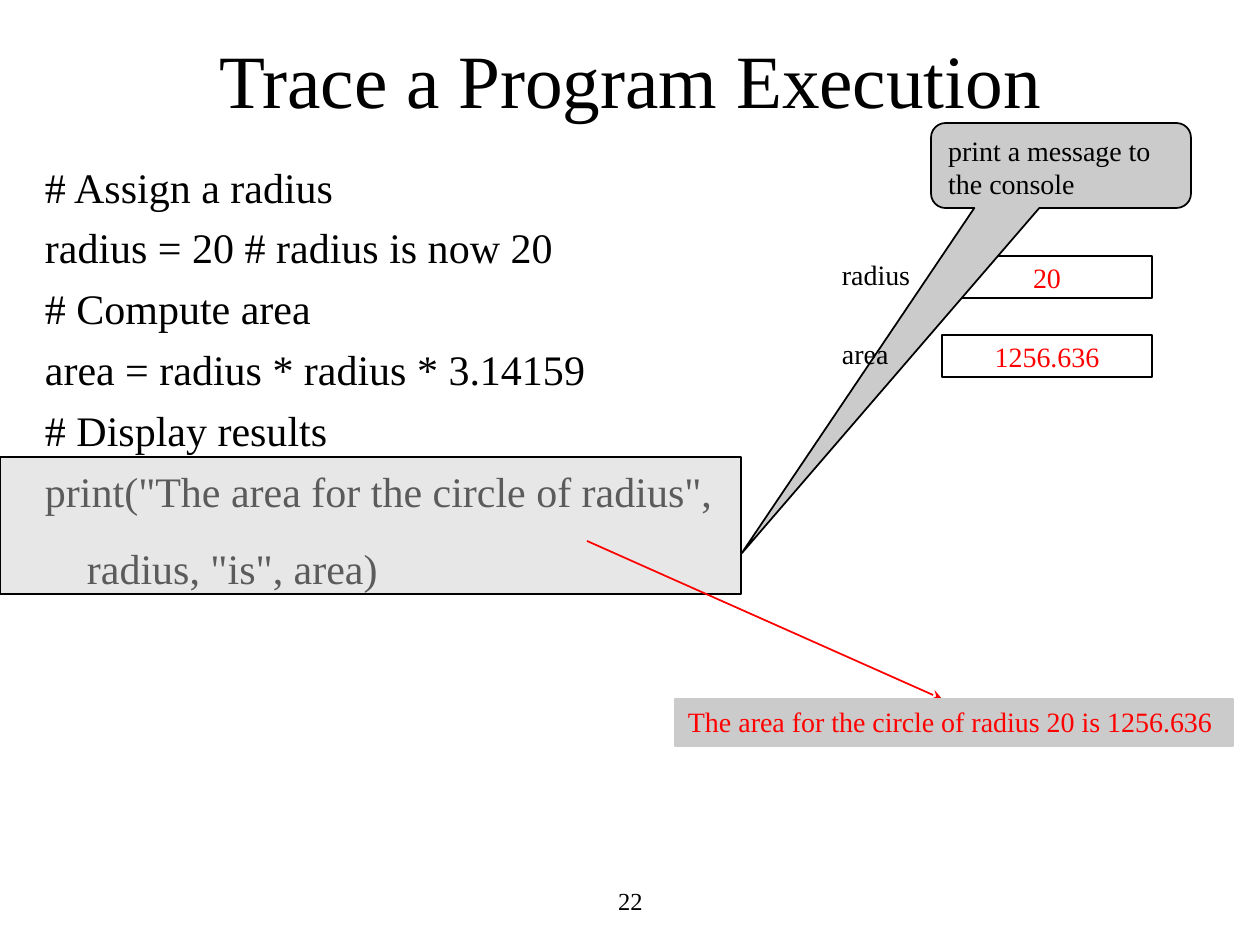
from dataclasses import dataclass
from typing import Optional

from lxml import etree
from pptx import Presentation
from pptx.dml import color
from pptx.enum import shapes, text
from pptx.oxml import ns
from pptx.util import Emu, Pt

SCALE = 914400 / 126
FONT = "Times New Roman"
BLACK, RED, GRAY = "000000", "FF0000", "CBCBCB"
LEFT, CENTER = text.PP_ALIGN.LEFT, text.PP_ALIGN.CENTER
TOP, MIDDLE = text.MSO_ANCHOR.TOP, text.MSO_ANCHOR.MIDDLE


@dataclass
class Box:
    left: int
    top: int
    width: int
    height: int


@dataclass
class Style:
    size: int = 16
    ink: str = BLACK
    align: text.PP_ALIGN = LEFT
    anchor: text.MSO_ANCHOR = TOP
    wrap: bool = True
    inset_x: int = 13
    inset_y: int = 6


@dataclass
class CodeLine:
    words: str
    margin: int = 48
    hanging: int = -48
    before: float = 6


@dataclass
class Variable:
    name: str
    value: str
    top: int


CODE = [
    CodeLine("# Assign a radius", before=3),
    CodeLine("radius = 20 # radius is now 20"),
    CodeLine("# Compute area"),
    CodeLine("area = radius * radius * 3.14159"),
    CodeLine("# Display results"),
    CodeLine('print("The area for the circle of radius",'),
    CodeLine('radius, "is", area)', 42, 0, 15.3),
]
VARIABLES = [Variable("radius", "20", 256), Variable("area", "1256.636", 335)]


def px(length: int) -> Emu:
    return Emu(round(length * SCALE))


def rgb(value: str) -> color.RGBColor:
    return color.RGBColor.from_string(value)


def place(box: Box) -> tuple[Emu, Emu, Emu, Emu]:
    return px(box.left), px(box.top), px(box.width), px(box.height)


def add_words(paragraph, words: str, style: Style) -> None:
    paragraph.alignment = style.align
    run = paragraph.add_run()
    run.text = words
    run.font.name = FONT
    run.font.size = Pt(style.size)
    run.font.color.rgb = rgb(style.ink)


def set_frame(frame, style: Style) -> None:
    frame.word_wrap = style.wrap
    frame.vertical_anchor = style.anchor
    frame.auto_size = text.MSO_AUTO_SIZE.NONE
    frame.margin_left = frame.margin_right = px(style.inset_x)
    frame.margin_top = frame.margin_bottom = px(style.inset_y)


def write(shape, words: str, style: Style) -> None:
    set_frame(shape.text_frame, style)
    add_words(shape.text_frame.paragraphs[0], words, style)


def add_label(slide, box: Box, words: str, style: Style) -> None:
    write(slide.shapes.add_textbox(*place(box)), words, style)


def add_block(slide, box: Box, fill: Optional[str] = None, line: str = BLACK,
              preset=shapes.MSO_SHAPE.RECTANGLE):
    block = slide.shapes.add_shape(preset, *place(box))
    block.shadow.inherit = False
    if fill:
        block.fill.solid()
        block.fill.fore_color.rgb = rgb(fill)
    else:
        block.fill.background()
    block.line.color.rgb = rgb(line)
    block.line.width = Pt(1)
    return block


def add_code(slide, box: Box, lines: list[CodeLine]) -> None:
    style = Style(size=24)
    frame = slide.shapes.add_textbox(*place(box)).text_frame
    set_frame(frame, style)
    for index, line in enumerate(lines):
        paragraph = frame.add_paragraph() if index else frame.paragraphs[0]
        paragraph.space_before = Pt(line.before)
        properties = paragraph._p.get_or_add_pPr()
        properties.set("marL", str(px(line.margin)))
        properties.set("indent", str(px(line.hanging)))
        add_words(paragraph, line.words, style)


def add_variable(slide, variable: Variable) -> None:
    cell = add_block(slide, Box(942, variable.top, 210, 42))
    write(cell, variable.value, Style(ink=RED, align=CENTER, anchor=MIDDLE,
                                      wrap=False, inset_x=1, inset_y=1))
    add_label(slide, Box(829, variable.top - 4, 116, 50), variable.name, Style())


def add_callout(slide) -> None:
    callout = add_block(slide, Box(931, 123, 260, 85), GRAY,
                        preset=shapes.MSO_SHAPE.ROUNDED_RECTANGULAR_CALLOUT)
    for index, value in enumerate((-1.23, 4.57, 0.17)):
        callout.adjustments[index] = value
    write(callout, "print a message to the console", Style())


def add_highlight(slide) -> None:
    highlight = add_block(slide, Box(0, 457, 741, 137), GRAY)
    tint = highlight._element.spPr.find(ns.qn("a:solidFill"))[0]
    etree.SubElement(tint, ns.qn("a:alpha"), val="45000")


def add_arrow(slide) -> None:
    arrow = slide.shapes.add_connector(
        shapes.MSO_CONNECTOR.STRAIGHT, px(587), px(541), px(942), px(699))
    arrow.line.color.rgb = rgb(RED)
    arrow.line.width = Pt(1)
    etree.SubElement(arrow.line._get_or_add_ln(), ns.qn("a:tailEnd"), type="stealth")
    etree.SubElement(arrow._element.spPr, ns.qn("a:effectLst"))


def main() -> None:
    deck = Presentation()
    deck.slide_width, deck.slide_height = px(1260), px(945)
    slide = deck.slides.add_slide(deck.slide_layouts[5])

    title = slide.shapes.title
    title.left, title.top, title.width, title.height = place(Box(94, 42, 1072, 73))
    write(title, "Trace a Program Execution",
          Style(size=43, align=CENTER, anchor=MIDDLE))

    add_label(slide, Box(431, 876, 399, 50), "22",
              Style(size=14, align=CENTER, anchor=MIDDLE))
    add_code(slide, Box(32, 155, 766, 714), CODE)
    radius, area = VARIABLES
    add_variable(slide, radius)
    add_callout(slide)
    add_variable(slide, area)
    add_highlight(slide)
    add_arrow(slide)
    output = add_block(slide, Box(675, 699, 558, 47), GRAY, GRAY)
    write(output, "The area for the circle of radius 20 is 1256.636",
          Style(ink=RED, wrap=False))
    deck.save("out.pptx")


if __name__ == "__main__":
    main()
